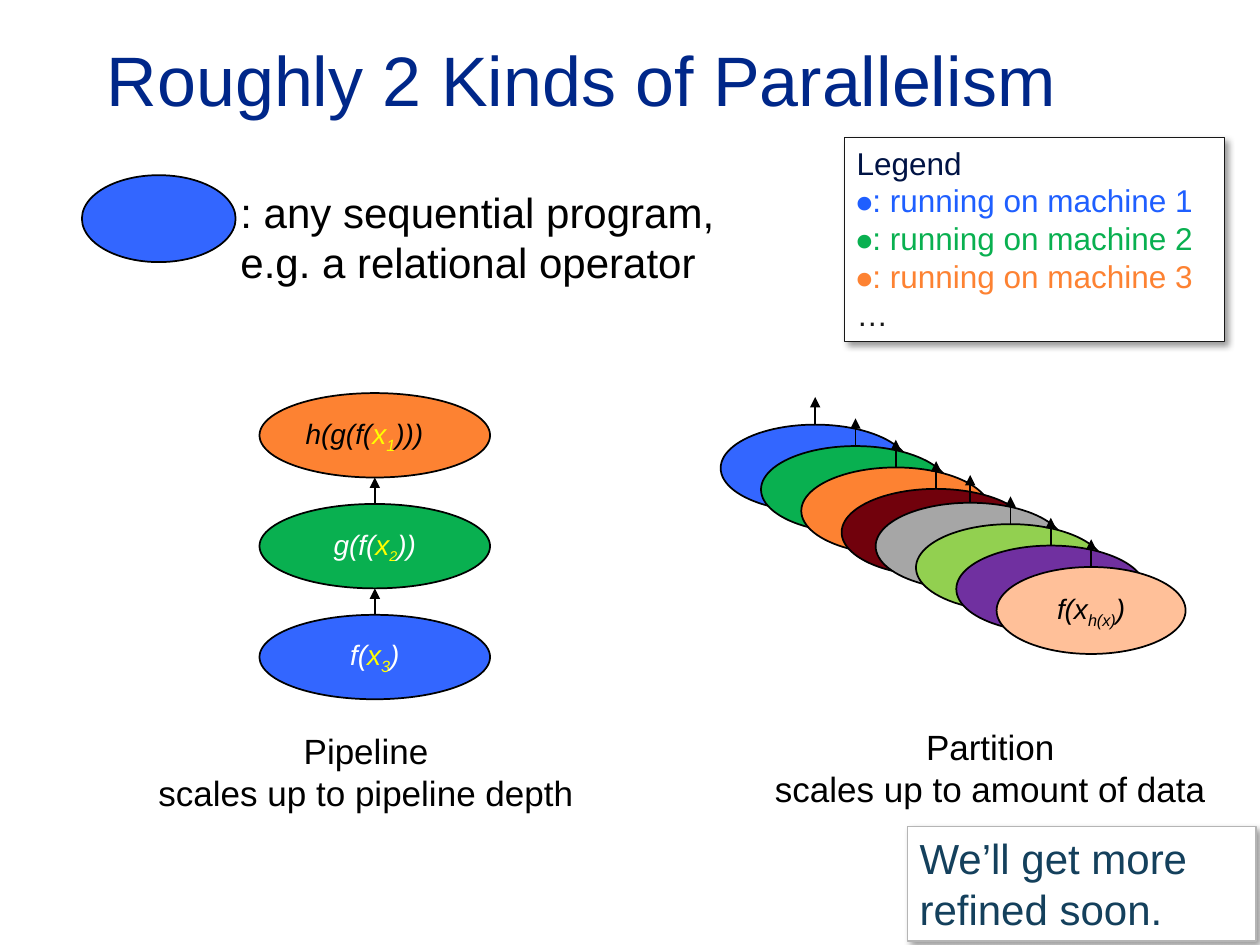
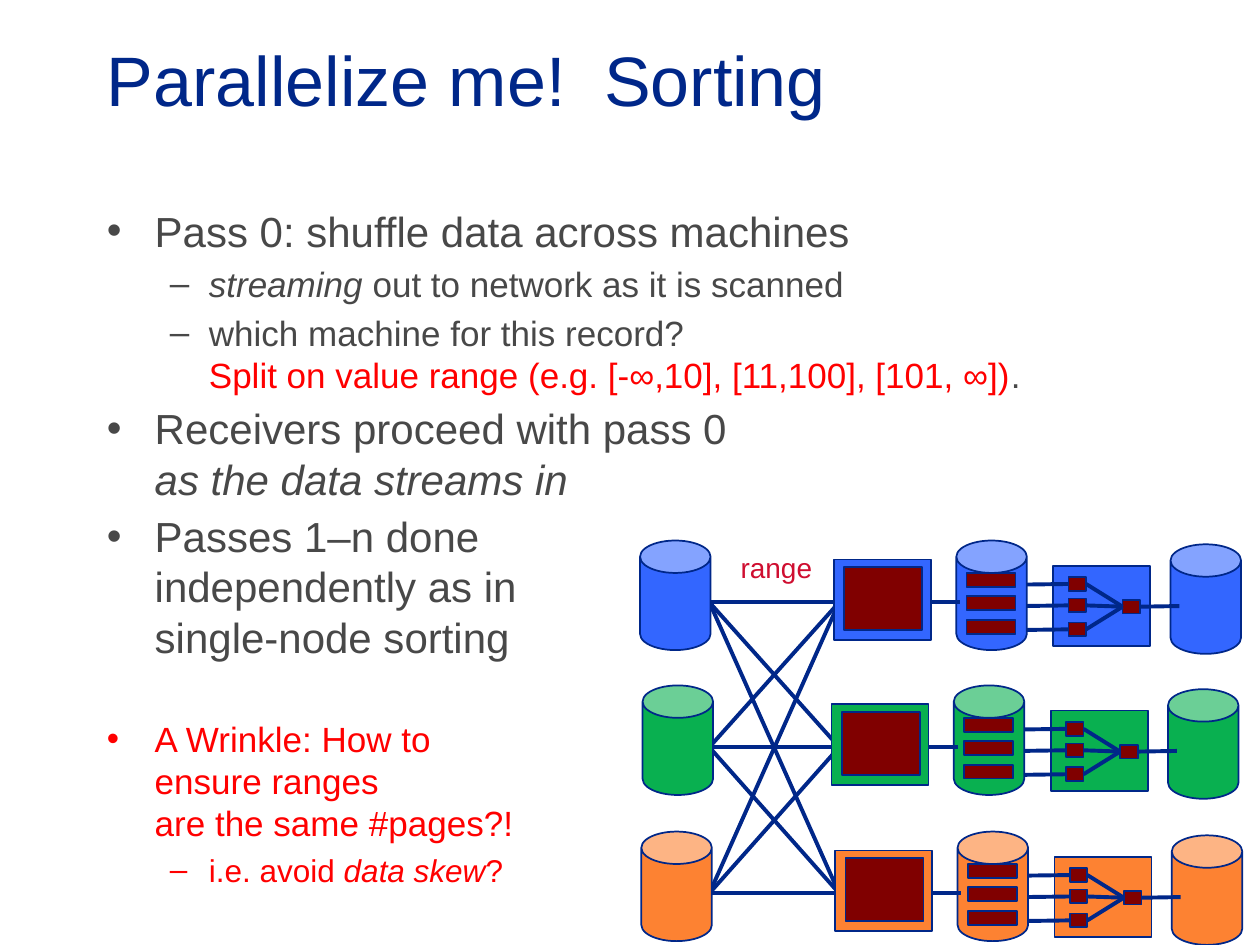
from dataclasses import dataclass
from itertools import product

from lxml import etree
from pptx import Presentation
from pptx.dml.color import RGBColor
from pptx.enum.shapes import MSO_CONNECTOR, MSO_SHAPE
from pptx.enum.text import MSO_ANCHOR, PP_ALIGN
from pptx.oxml.ns import qn
from pptx.util import Inches, Pt

CAN, ELLIPSE, RECTANGLE = MSO_SHAPE.CAN, MSO_SHAPE.OVAL, MSO_SHAPE.RECTANGLE
STRAIGHT = MSO_CONNECTOR.STRAIGHT
LEFT, CENTER = PP_ALIGN.LEFT, PP_ALIGN.CENTER
TOP, MIDDLE = MSO_ANCHOR.TOP, MSO_ANCHOR.MIDDLE
SIDE_TOP, SIDE_LEFT, SIDE_RIGHT = 0, 1, 3

SLIDE_WIDTH, SLIDE_HEIGHT = Inches(10), Inches(7.5)
COLUMN, ROW = SLIDE_WIDTH / 10, SLIDE_HEIGHT / 7.5


@dataclass(frozen=True)
class Theme:
    font: str = "Arial"
    symbol_font: str = "Roboto"
    navy: str = "002789"
    black: str = "000000"
    white: str = "FFFFFF"
    blue: str = "3366FF"
    green: str = "09B050"
    orange: str = "FD8232"
    legend_head: str = "001344"
    legend_blue: str = "1F5FFF"
    near_black: str = "181818"
    note_text: str = "14405C"
    note_line: str = "B5B5B5"
    body: str = "484848"
    red: str = "FF0000"
    crimson: str = "CF0E30"
    maroon: str = "800000"
    yellow: str = "FFFF00"
    partitions: tuple = ("3366FF", "09B050", "FD8232", "71010C",
                         "A6A6A6", "92D050", "7030A0", "FFC099")
    title_size: int = 40
    large: int = 24
    medium: int = 20
    legend_size: int = 18
    formula: int = 16
    small: int = 14
    thin: float = 0.75
    outline: float = 1
    flow: float = 2.25


THEME = Theme()


def place(left, top, width, height):
    return [int(left * COLUMN), int(top * ROW), int(width * COLUMN), int(height * ROW)]


def add_runs(paragraph, segments, **base):
    for text, changes in segments:
        style = {**base, **changes}
        for index, line in enumerate(text.split("\n")):
            if index:
                paragraph.add_line_break()
            if not line:
                continue
            run = paragraph.add_run()
            run.text = line
            run.font.name = style.get("font", THEME.font)
            run.font.size = Pt(style["size"])
            run.font.color.rgb = RGBColor.from_string(style["color"])
            run.font.italic = style.get("italic", False)
            if style.get("subscript"):
                run._r.get_or_add_rPr().set("baseline", "-25000")


def write(shape, paragraphs, align=LEFT, anchor=TOP, wrap=True, **base):
    frame = shape.text_frame
    frame.word_wrap = wrap
    frame.vertical_anchor = anchor
    for index, segments in enumerate(paragraphs):
        paragraph = frame.add_paragraph() if index else frame.paragraphs[0]
        paragraph.alignment = align
        add_runs(paragraph, segments, **base)


def add_text(slide, box, lines, **style):
    shape = slide.shapes.add_textbox(*place(*box))
    write(shape, [[(line, {})] for line in lines], **style)


def add_title(slide, title):
    add_text(slide, (0.75, 0, 8.5, 1.25), [title], anchor=MIDDLE,
             size=THEME.title_size, color=THEME.navy)


def add_figure(slide, kind, box, fill, line=THEME.navy, width=THEME.outline):
    shape = slide.shapes.add_shape(kind, *place(*box))
    shape.shadow.inherit = False
    shape.fill.solid()
    shape.fill.fore_color.rgb = RGBColor.from_string(fill)
    shape.line.color.rgb = RGBColor.from_string(line)
    shape.line.width = Pt(width)
    return shape


def add_ellipse(slide, box, fill):
    return add_figure(slide, ELLIPSE, box, fill, THEME.black)


def add_can(slide, left, top, fill):
    add_figure(slide, CAN, (left, top, 0.56, 0.87), fill).adjustments[0] = 0.46


def add_card(slide, box, line):
    shape = add_figure(slide, RECTANGLE, box, THEME.white, line, THEME.thin)
    effects = shape._element.spPr.find(qn("a:effectLst"))
    shadow = etree.SubElement(effects, qn("a:outerShdw"), blurRad=str(Pt(4)),
                              dist=str(Pt(3)), dir="2700000", algn="tl", rotWithShape="0")
    color = etree.SubElement(shadow, qn("a:srgbClr"), val=THEME.black)
    etree.SubElement(color, qn("a:alpha"), val="40000")
    return shape


def add_line(slide, start, end, color=THEME.navy, width=THEME.flow):
    points = [int(value * unit) for point in (start, end)
              for value, unit in zip(point, (COLUMN, ROW))]
    line = slide.shapes.add_connector(STRAIGHT, *points)
    line.line.color.rgb = RGBColor.from_string(color)
    line.line.width = Pt(width)
    etree.SubElement(line._element.spPr, qn("a:effectLst"))
    return line


def add_arrow_up(slide, ellipse, x, top, length):
    arrow = add_line(slide, (x, top), (x, top - length), THEME.black, THEME.outline)
    arrow.begin_connect(ellipse, SIDE_TOP)
    etree.SubElement(arrow.line._get_or_add_ln(), qn("a:tailEnd"), type="triangle")


def add_bullets(slide, box, items):
    frame = slide.shapes.add_textbox(*place(*box)).text_frame
    frame.word_wrap = True
    for index, (level, before, style, segments) in enumerate(items):
        paragraph = frame.add_paragraph() if index else frame.paragraphs[0]
        paragraph.level = level
        paragraph.space_before = Pt(before)
        margin, hanging, mark = ((0.38, 0.38, "•"), (0.81, 0.31, "–"))[level]
        properties = paragraph._p.get_or_add_pPr()
        properties.set("marL", str(Inches(margin)))
        properties.set("indent", str(-Inches(hanging)))
        etree.SubElement(properties, qn("a:buFont"), typeface=THEME.font)
        etree.SubElement(properties, qn("a:buChar"), char=mark)
        add_runs(paragraph, segments, **style)


def add_pipeline(slide):
    left, width, height, top, pitch, gap = 2.06, 1.83, 0.67, 3.12, 0.88, 0.21
    stages = [
        ("h(g(f(", "1", ")))", THEME.orange, THEME.black, LEFT, THEME.formula),
        ("g(f(", "2", "))", THEME.green, THEME.white, CENTER, THEME.small),
        ("f(", "3", ")", THEME.blue, THEME.white, CENTER, THEME.formula),
    ]
    for index, (opening, number, closing, fill, color, align, size) in enumerate(stages):
        stage_top = top + index * pitch
        stage = add_ellipse(slide, (left, stage_top, width, height), fill)
        formula = [(opening, {}), ("x", {"color": THEME.yellow}),
                   (number, {"color": THEME.yellow, "size": size, "subscript": True}),
                   (closing, {})]
        write(stage, [formula], align, MIDDLE, size=THEME.formula, color=color, italic=True)
        if index:
            add_arrow_up(slide, stage, left + width / 2, stage_top, gap)


def add_partitions(slide):
    width, height, step_x, step_y = 1.5, 0.69, 0.32, 0.17
    batches = ((5.72, 3.37), (6.95, 3.99))
    for index, fill in enumerate(THEME.partitions):
        batch, position = divmod(index, 4)
        left = batches[batch][0] + position * step_x
        top = batches[batch][1] + position * step_y
        partition = add_ellipse(slide, (left, top, width, height), fill)
        add_arrow_up(slide, partition, left + width / 2, top, 0.22)
    formula = [("f(x", {}), ("h(x)", {"subscript": True}), (")", {})]
    write(partition, [formula], CENTER, MIDDLE,
          size=THEME.formula, color=THEME.black, italic=True)


def add_legend(slide):
    def entry(number, color):
        return [("⦁", {"color": color, "font": THEME.symbol_font}),
                (f": running on machine {number}", {"color": color})]

    write(add_card(slide, (6.7, 1.09, 3.02, 1.62), THEME.near_black),
          [[("Legend\n", {})] + entry(1, THEME.legend_blue),
           entry(2, THEME.green), entry(3, THEME.orange),
           [("…", {"color": THEME.near_black})]],
          size=THEME.legend_size, color=THEME.legend_head)


def add_merge(slide, left, top, fill):
    add_figure(slide, RECTANGLE, (left, top, 0.77, 0.64), fill)

    def block(x, y):
        return add_figure(slide, RECTANGLE, (left + x, top + y, 0.14, 0.11), THEME.maroon)

    merged = block(0.55, 0.27)
    for offset in (0.09, 0.26, 0.45):
        run_block = block(0.12, offset)
        middle = top + offset + 0.06
        to_merge = add_line(slide, (left + 0.26, middle), (left + 0.55, top + 0.32))
        to_merge.begin_connect(run_block, SIDE_RIGHT)
        to_merge.end_connect(merged, SIDE_LEFT)
        from_disk = add_line(slide, (left + 0.12, middle), (left - 0.25, middle))
        from_disk.begin_connect(run_block, SIDE_LEFT)
    return merged


def add_sorter(slide, shift, top, fill):
    merged = add_merge(slide, 8.36 + shift, top + 0.2, fill)
    add_can(slide, 9.29 + shift, top + 0.03, fill)
    add_can(slide, 7.59 + shift, top, fill)
    output = add_line(slide, (9.05 + shift, top + 0.52), (9.36 + shift, top + 0.52))
    output.begin_connect(merged, SIDE_RIGHT)
    for offset in (0.26, 0.44, 0.63):
        add_figure(slide, RECTANGLE, (7.67 + shift, top + offset, 0.39, 0.11), THEME.maroon)
    add_line(slide, (7.29 + shift, top + 0.49), (7.62 + shift, top + 0.49))


def add_sort_network(slide):
    machines = [(5.08, 0, 4.29, THEME.blue), (5.1, -0.02, 5.44, THEME.green),
                (5.09, 0.01, 6.6, THEME.orange)]
    for _, shift, top, fill in machines:
        add_sorter(slide, shift, top, fill)
    for sender, receiver in product(machines, repeat=2):
        add_line(slide, (5.63, sender[2] + 0.49), (6.66, receiver[2] + 0.49))
    add_text(slide, (5.78, 4.32, 0.78, 0.37), ["range"], wrap=False,
             size=THEME.formula, color=THEME.crimson)
    for source_left, shift, top, fill in machines:
        add_can(slide, source_left, top, fill)
        add_figure(slide, RECTANGLE, (6.62 + shift, top + 0.15, 0.77, 0.64), fill)
        add_figure(slide, RECTANGLE, (6.7 + shift, top + 0.21, 0.62, 0.5), THEME.maroon)


def build_parallelism(slide):
    add_title(slide, "Roughly 2 Kinds of Parallelism")
    caption = {"align": CENTER, "wrap": False, "size": THEME.medium, "color": THEME.black}
    add_text(slide, (1.11, 5.74, 3.59, 0.77),
             ["Pipeline", "scales up to pipeline depth"], **caption)
    add_text(slide, (6.01, 5.71, 3.7, 0.77),
             ["Partition", "scales up to amount of data"], **caption)
    add_ellipse(slide, (0.65, 1.39, 1.22, 0.69), THEME.blue)
    add_text(slide, (1.81, 1.43, 4.02, 0.91),
             [": any sequential program,", "e.g. a relational operator"],
             wrap=False, size=THEME.large, color=THEME.black)
    write(add_card(slide, (7.2, 6.56, 2.77, 0.91), THEME.note_line),
          [[("We’ll get more refined soon.", {})]], size=THEME.large, color=THEME.note_text)
    add_partitions(slide)
    add_pipeline(slide)
    add_legend(slide)


def build_sorting(slide):
    add_title(slide, "Parallelize me!  Sorting")
    main_point = {"size": THEME.large, "color": THEME.body}
    detail = {"size": THEME.medium, "color": THEME.body}
    wrinkle = {"size": THEME.medium, "color": THEME.red}
    skew = {"size": THEME.legend_size, "color": THEME.red}
    italic = {"italic": True}
    gap, section_gap = 4, 32
    add_bullets(slide, (0.75, 1.58, 8.5, 5.58), [
        (0, gap, main_point, [("Pass 0: shuffle data across machines", {})]),
        (1, gap, detail, [("streaming ", italic), ("out to network as it is scanned", {})]),
        (1, gap, detail, [
            ("which machine for this record?\n", {}),
            ("Split on value range (e.g. [-∞,10], [11,100], [101, ∞])", {"color": THEME.red}),
            (".", {})]),
        (0, gap, main_point, [("Receivers proceed with pass 0\n", {}),
                              ("as the data streams in", italic)]),
        (0, gap, main_point, [("Passes 1–n done\nindependently as in\nsingle-node sorting", {})]),
        (0, section_gap, wrinkle,
         [("A Wrinkle: How to\nensure ranges\nare the same #pages?!", {})]),
        (1, gap, skew, [("i.e. avoid ", {}), ("data skew", italic), ("?", {})]),
    ])
    add_sort_network(slide)


def main():
    presentation = Presentation()
    presentation.slide_width, presentation.slide_height = SLIDE_WIDTH, SLIDE_HEIGHT
    blank = presentation.slide_layouts[6]
    for build in (build_parallelism, build_sorting):
        build(presentation.slides.add_slide(blank))
    presentation.save("out.pptx")


if __name__ == "__main__":
    main()
